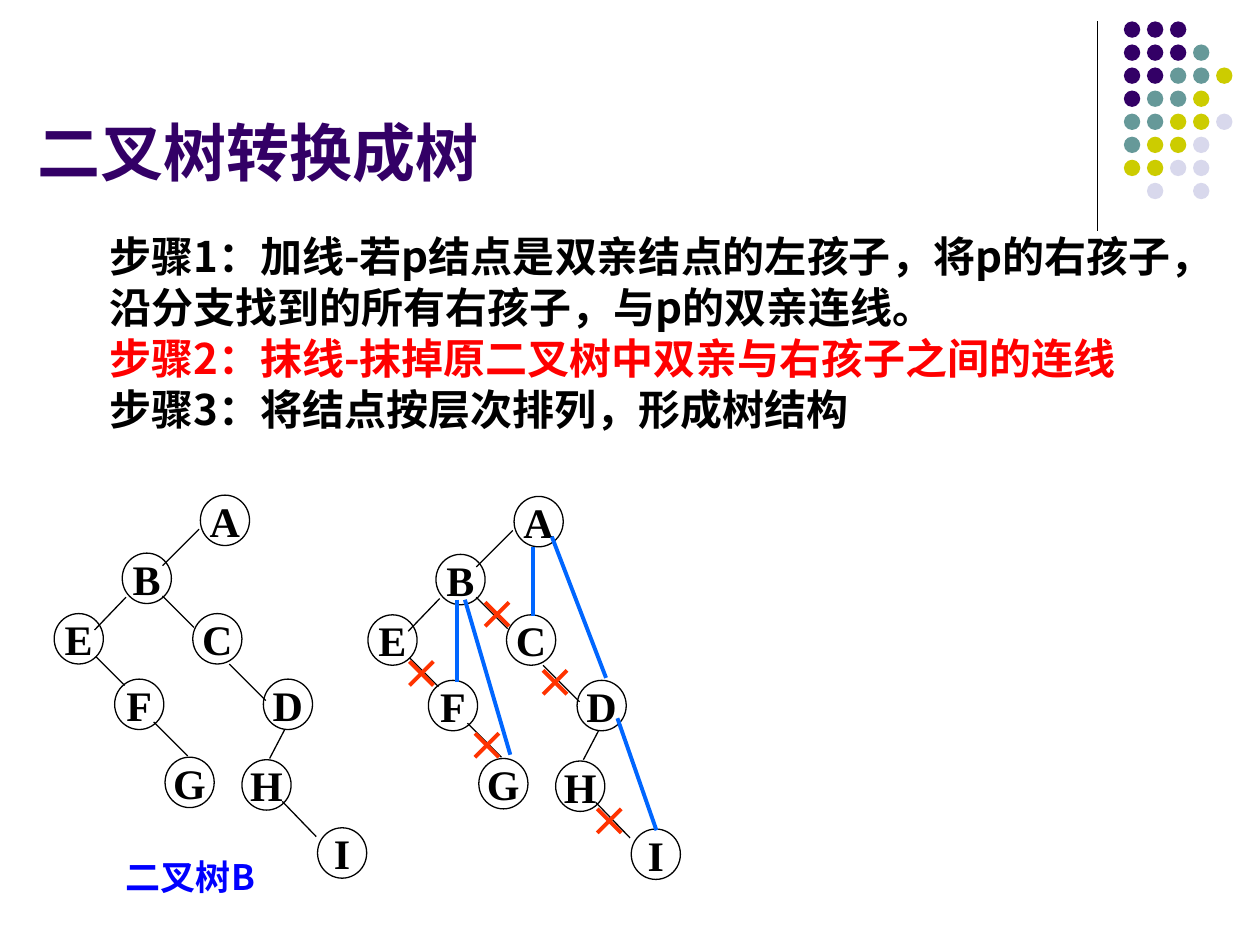
import pptx
import pptx.util
import pptx.dml.color
import pptx.enum.shapes
import pptx.enum.text
import pptx.oxml
import pptx.oxml.ns

Inches, Pt = pptx.util.Inches, pptx.util.Pt
SHAPE = pptx.enum.shapes.MSO_SHAPE
ALIGN = pptx.enum.text.PP_ALIGN
ANCHOR = pptx.enum.text.MSO_ANCHOR
CJK = "Noto Sans CJK SC"


def style(p, size, name, color):
    for r in p.runs:
        r.font.size, r.font.bold, r.font.name = Pt(size), True, name
        r.font.color.rgb = pptx.dml.color.RGBColor.from_string(color)
        ea = pptx.oxml.parse_xml('<a:ea %s typeface="%s"/>' % (pptx.oxml.ns.nsdecls("a"), CJK))
        r.font._element.find(pptx.oxml.ns.qn("a:latin")).addnext(ea)


def add_line(x1, y1, x2, y2, color="000000", width=0.75):
    s = shapes.add_connector(pptx.enum.shapes.MSO_CONNECTOR.STRAIGHT,
                             Inches(x1), Inches(y1), Inches(x2), Inches(y2))
    s.line.color.rgb = pptx.dml.color.RGBColor.from_string(color)
    s.line.width = Pt(width)
    s._element.spPr.append(pptx.oxml.parse_xml("<a:effectLst %s/>" % pptx.oxml.ns.nsdecls("a")))


prs = pptx.Presentation()
prs.slide_width, prs.slide_height = Inches(10), Inches(7.5)
slide = prs.slides.add_slide(prs.slide_layouts[1])
shapes = slide.shapes

# Corner decoration: rule and dot grid
add_line(8.71, 0.17, 8.71, 1.83)
dot_colors = {"P": "330066", "T": "669999", "Y": "CCCC00", "L": "D8D8EC"}
dot_rows = ["PPP", "PPPT", "PPTTY", "PTTY", "TTYYL", "TYYL", "YYLL", " L L"]
for row, codes in enumerate(dot_rows):
    for col, code in enumerate(codes):
        if code == " ":
            continue
        s = shapes.add_shape(SHAPE.OVAL, Inches(8.92 + 0.183 * col), Inches(0.17 + 0.183 * row),
                             Inches(0.13), Inches(0.13))
        s.shadow.inherit = False
        s.fill.solid()
        s.fill.fore_color.rgb = pptx.dml.color.RGBColor.from_string(dot_colors[code])
        s.line.fill.background()

# Title
title = shapes.title
title.left, title.top, title.width, title.height = Inches(0.2), Inches(0.13), Inches(8.25), Inches(1.42)
tf = title.text_frame
tf.text = "二叉树转换成树"
tf.vertical_anchor = ANCHOR.BOTTOM
tf.auto_size = pptx.enum.text.MSO_AUTO_SIZE.NONE
tf.paragraphs[0].alignment = ALIGN.LEFT
style(tf.paragraphs[0], 36, "Arial", "330066")

# Steps
body = slide.placeholders[1]
body.left, body.top, body.width, body.height = Inches(0.27), Inches(1.78), Inches(9.45), Inches(1.7)
steps = [
    ("步骤1：加线-若p结点是双亲结点的左孩子，将p的右孩子，沿分支找到的所有右孩子，与p的双亲连线。", "000000"),
    ("步骤2：抹线-抹掉原二叉树中双亲与右孩子之间的连线", "FF0000"),
    ("步骤3：将结点按层次排列，形成树结构", "000000"),
]
tf = body.text_frame
tf.auto_size = pptx.enum.text.MSO_AUTO_SIZE.NONE
tf.text = "\n".join(text for text, color in steps)
for p, (text, color) in zip(tf.paragraphs, steps):
    p.level = 1
    pPr = p._p.get_or_add_pPr()
    pPr.set("marL", str(Inches(0.5)))
    pPr.set("indent", "0")
    pPr.append(pptx.oxml.parse_xml("<a:buNone %s/>" % pptx.oxml.ns.nsdecls("a")))
    p.space_before = Pt(0)
    p.line_spacing = Pt(29)
    style(p, 24, CJK, color)

# Binary tree, drawn twice
nodes = {"A": (1.59, 3.93), "B": (0.97, 4.39), "C": (1.53, 4.87), "D": (2.09, 5.39), "E": (0.43, 4.87),
         "F": (0.91, 5.39), "G": (1.31, 6.01), "H": (1.92, 6.03), "I": (2.52, 6.57)}
edges = [(1.58, 4.2, 1.29, 4.49), (1, 4.74, 0.75, 5), (0.76, 5.21, 0.99, 5.44), (1.22, 5.73, 1.49, 6),
         (1.29, 4.73, 1.54, 4.98), (1.82, 5.27, 2.11, 5.56), (2.26, 5.79, 2.14, 6.02),
         (2.24, 6.36, 2.51, 6.64)]
for dx, dy in [(0, 0), (2.49, 0.01)]:
    for letter, (x, y) in nodes.items():
        s = shapes.add_shape(SHAPE.OVAL, Inches(x + dx), Inches(y + dy), Inches(0.39), Inches(0.4))
        s.shadow.inherit = False
        s.fill.background()
        s.line.color.rgb = pptx.dml.color.RGBColor.from_string("000000")
        s.line.width = Pt(0.75)
        tf = s.text_frame
        tf.text = letter
        tf.word_wrap = False
        tf.vertical_anchor = ANCHOR.MIDDLE
        tf.paragraphs[0].alignment = ALIGN.CENTER
        style(tf.paragraphs[0], 24, "Times New Roman", "000000")
    for x1, y1, x2, y2 in edges:
        add_line(x1 + dx, y1 + dy, x2 + dx, y2 + dy)

# Added links
for link in [(4.23, 4.34, 4.23, 4.89), (4.38, 4.26, 4.81, 5.38), (3.63, 4.76, 3.63, 5.41),
             (3.69, 4.76, 4.05, 5.99), (4.9, 5.7, 5.21, 6.59)]:
    add_line(*link, "0066FF", 2.25)

# Crosses on the removed links
cross = 0.19
for x, y in [(3.85, 4.78), (4.31, 5.32), (3.25, 5.25), (3.77, 5.82), (4.74, 6.42)]:
    add_line(x, y, x + cross, y + cross, "FF3300", 2.25)
    add_line(x + cross, y, x, y + cross, "FF3300", 2.25)

# Tree label
s = shapes.add_textbox(Inches(0.9), Inches(6.74), Inches(1.65), Inches(0.44))
tf = s.text_frame
tf.word_wrap = True
tf.text = "二叉树B"
tf.paragraphs[0].line_spacing = Pt(24)
style(tf.paragraphs[0], 20, CJK, "0000FF")

prs.save("out.pptx")
